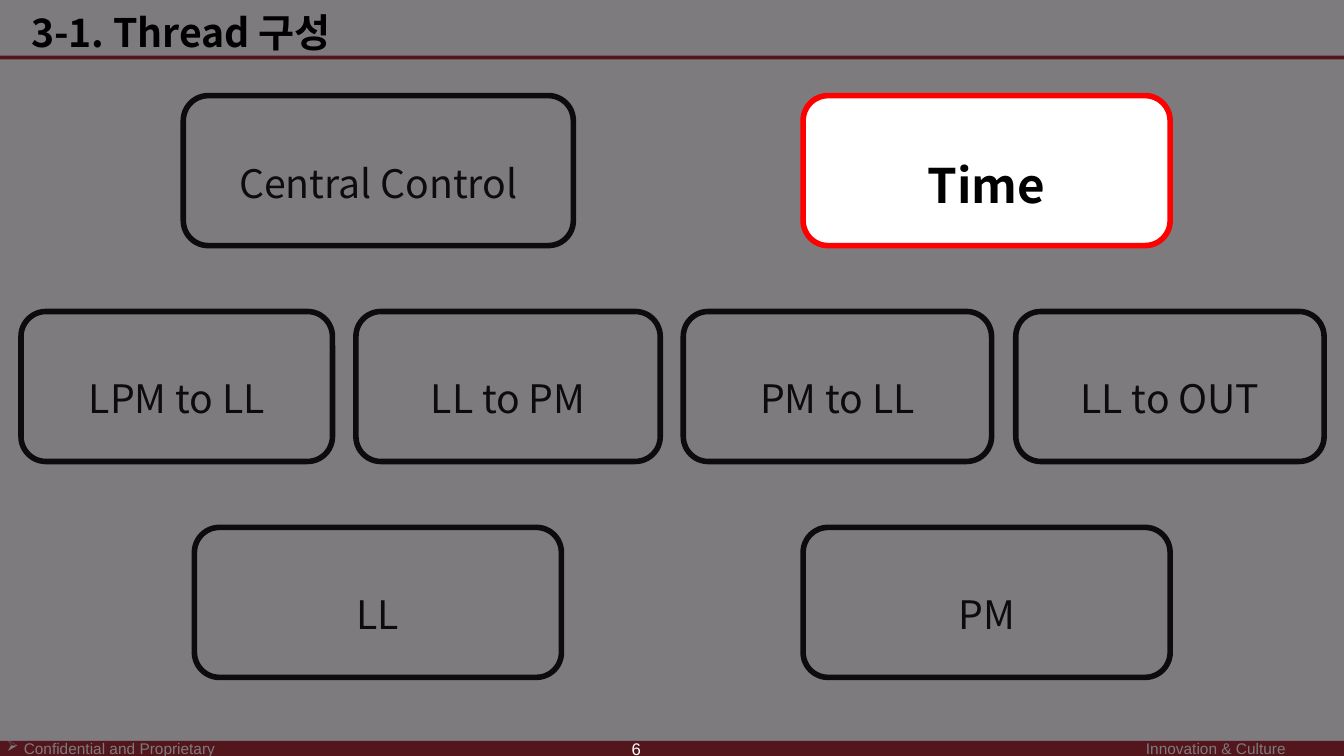
from lxml.etree import SubElement
from pptx import Presentation
from pptx.dml.color import RGBColor
from pptx.enum.shapes import MSO_SHAPE
from pptx.enum.text import MSO_ANCHOR, MSO_AUTO_SIZE, PP_ALIGN
from pptx.oxml.ns import qn
from pptx.util import Cm, Pt

MAROON = RGBColor(0x9A, 0x19, 0x1D)
DIM = RGBColor(0x1A, 0x14, 0x1C)
RED = RGBColor(0xFF, 0x00, 0x00)
BLACK = RGBColor(0x00, 0x00, 0x00)
WHITE = RGBColor(0xFF, 0xFF, 0xFF)
KOREAN = "Noto Sans CJK KR"

deck = Presentation()
deck.slide_width, deck.slide_height = Cm(33.87), Cm(19.05)
page = deck.slides.add_slide(deck.slide_layouts[5])


def add_block(kind, left, top, width, height, fill, line=None, weight=4):
    block = page.shapes.add_shape(kind, Cm(left), Cm(top), Cm(width), Cm(height))
    block.shadow.inherit = False
    block.fill.solid()
    block.fill.fore_color.rgb = fill
    if line is None:
        block.line.fill.background()
    else:
        block.line.color.rgb = line
        block.line.width = Pt(weight)
    return block


def write(shape, text, size, color, name, bold=False, align=PP_ALIGN.LEFT):
    para = shape.text_frame.paragraphs[0]
    para.alignment = align
    span = para.add_run()
    span.text = text
    span.font.color.rgb = color
    for key, value in {"size": Pt(size), "name": name, "bold": bold}.items():
        setattr(span.font, key, value)
    SubElement(span.font._element, qn("a:ea"), typeface=name)
    return para


# Footer band and rule under the title
for top, height in ((18.67, 0.4), (1.4, 0.1)):
    add_block(MSO_SHAPE.RECTANGLE, 0, top, 33.87, height, MAROON)

# Footer texts
for text, left, width, bullet in (
    ("Confidential and Proprietary", -0.08, 21.03, "➢"),
    ("Innovation & Culture", 28.63, 6.83, None),
):
    footer = page.shapes.add_textbox(Cm(left), Cm(18.59), Cm(width), Cm(0.53))
    footer.text_frame.word_wrap = True
    footer.text_frame.margin_top = footer.text_frame.margin_bottom = Cm(0.03)
    para = write(footer, text, 11, WHITE, "Arial")
    if bullet:
        properties = para._p.get_or_add_pPr()
        properties.set("marL", str(Cm(0.43)))
        properties.set("indent", str(-Cm(0.43)))
        SubElement(properties, qn("a:buChar"), char=bullet)

# Thread boxes: name, row, left, width; the highlighted one lies above the veil
threads = (
    ("LPM to LL", 1, 0.53, 7.85),
    ("LL to PM", 1, 8.97, 7.67),
    ("PM to LL", 1, 17.22, 7.77),
    ("LL to OUT", 1, 25.6, 7.77),
    ("LL", 2, 4.9, 9.25),
    ("PM", 2, 20.24, 9.25),
    ("Central Control", 0, 4.62, 9.83),
    ("Time", 0, 20.24, 9.25),
)
for thread, row, left, width in threads:
    active = thread == "Time"
    if active:
        # Translucent veil
        veil = add_block(MSO_SHAPE.RECTANGLE, -0.61, -0.53, 34.98, 20.04, DIM, BLACK, 0.75)
        tint = veil.fill._xPr.find(qn("a:solidFill"))[0]
        SubElement(tint, qn("a:alpha"), val="56000")
    box = add_block(MSO_SHAPE.ROUNDED_RECTANGLE, left, 2.41 + 5.44 * row, width, 3.78,
                    WHITE, RED if active else BLACK)
    box.text_frame.vertical_anchor = MSO_ANCHOR.MIDDLE
    para = write(box, thread, 34 if active else 28, BLACK, KOREAN, active, PP_ALIGN.CENTER)
    para.line_spacing = 1.5

# Page number
number = page.shapes.add_textbox(Cm(15.67), Cm(18.49), Cm(7.34), Cm(1.02))
number.text_frame.word_wrap = True
write(number, "6", 12, WHITE, "Arial")

# Title, brought to the front
title = page.shapes.title
for key, value in {"left": 0.53, "top": 0.08, "width": 10.26, "height": 1.42}.items():
    setattr(title, key, Cm(value))
title.text_frame.vertical_anchor = MSO_ANCHOR.TOP
title.text_frame.auto_size = MSO_AUTO_SIZE.NONE
write(title, "3-1. Thread 구성", 28, BLACK, KOREAN, True)
page.shapes.element.append(title.element)

deck.save("out.pptx")
